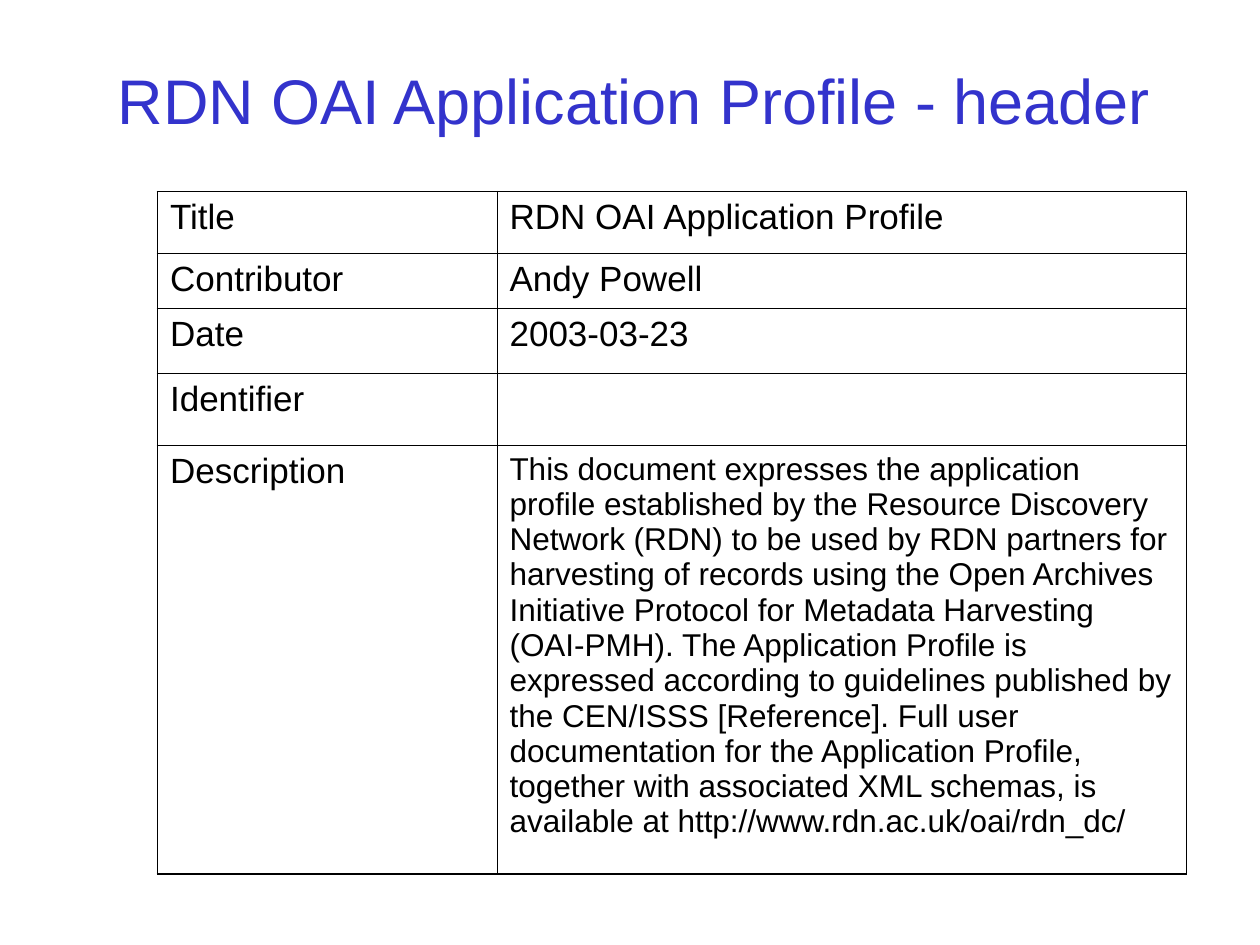
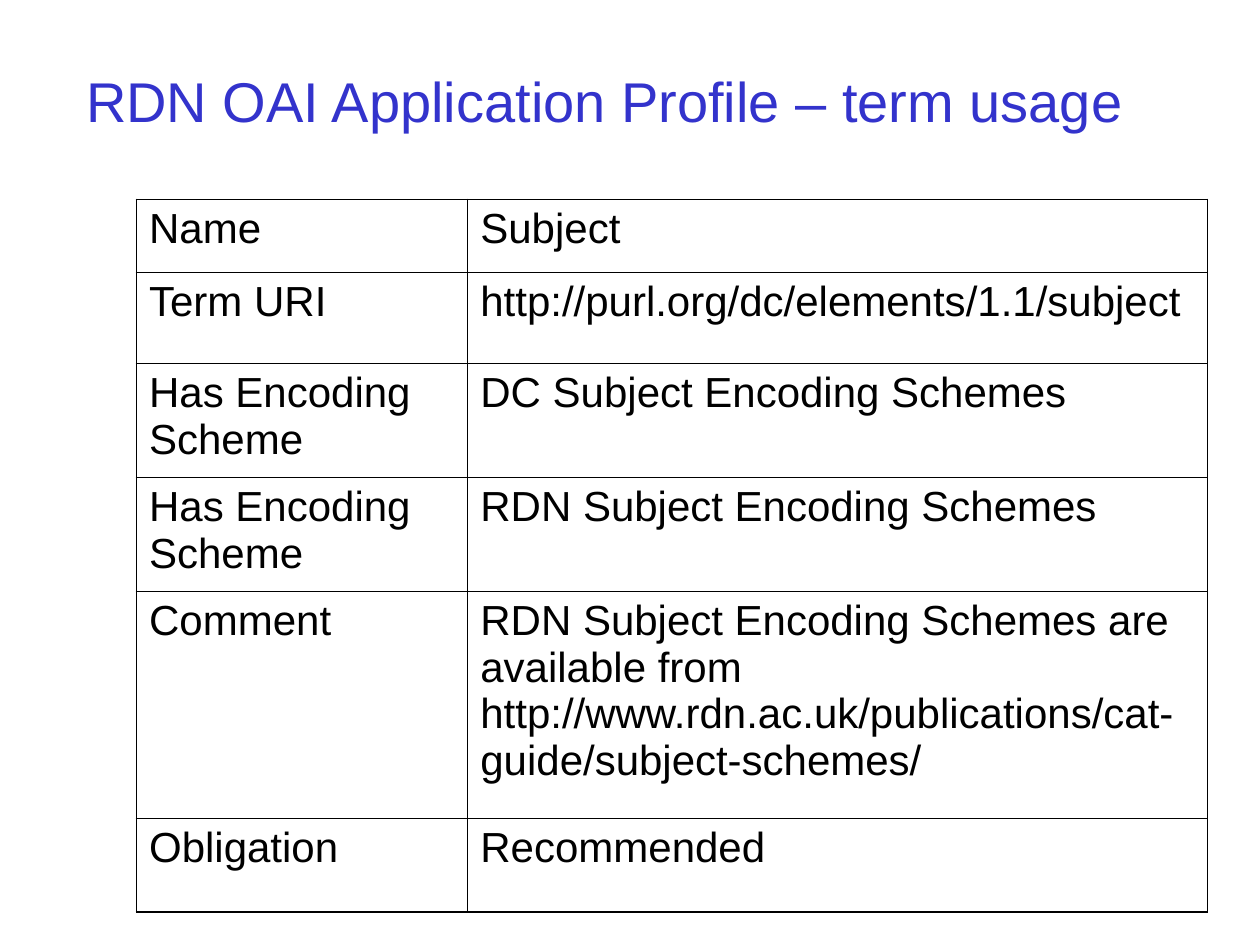
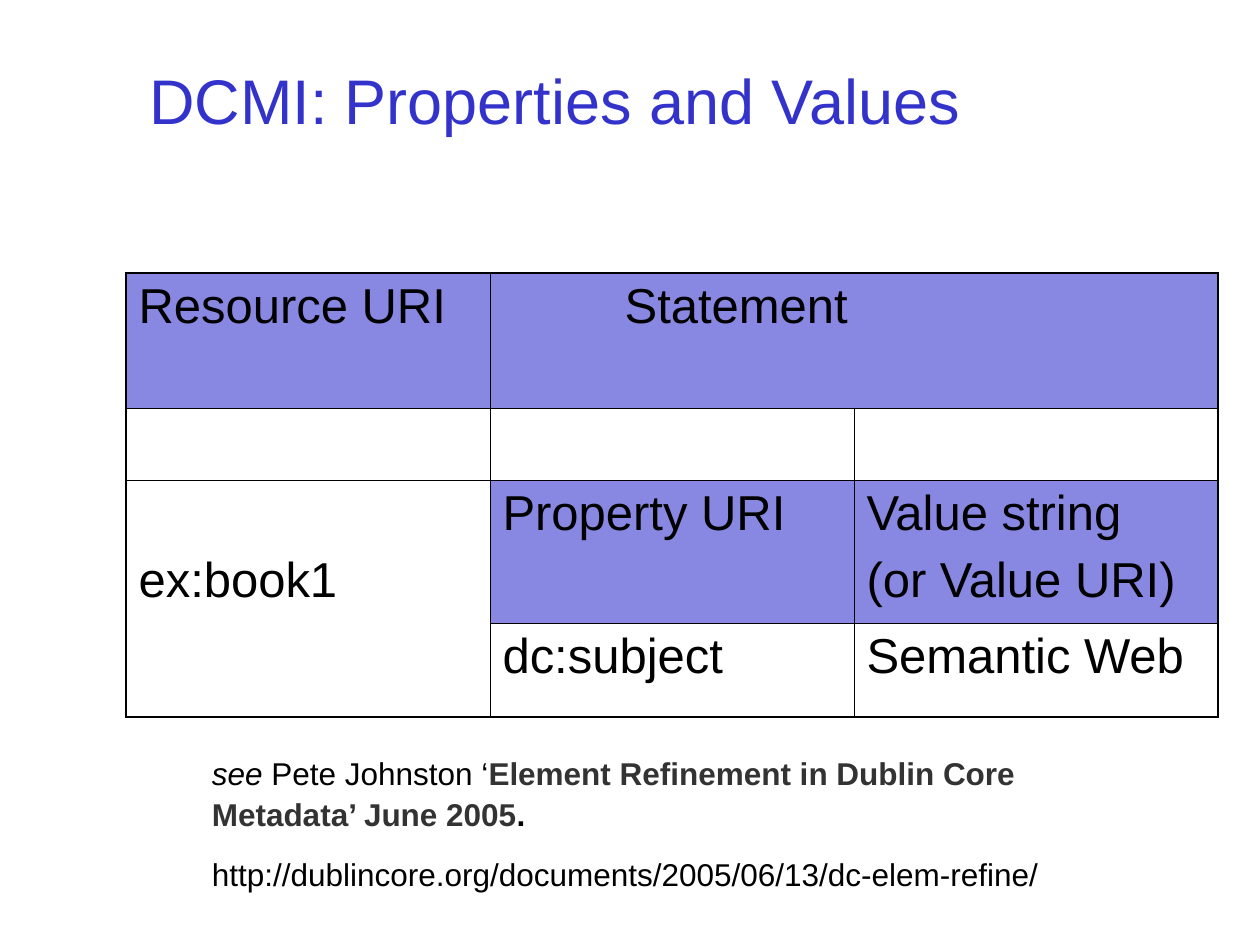
from lxml import etree
from pptx import Presentation
from pptx.dml.color import RGBColor
from pptx.enum.text import MSO_ANCHOR, MSO_AUTO_SIZE, PP_ALIGN
from pptx.oxml.ns import qn
from pptx.util import Pt

MIDDLE = MSO_ANCHOR.MIDDLE
NO_AUTOFIT = MSO_AUTO_SIZE.NONE
LEFT = PP_ALIGN.LEFT

FONT = "Arial"
BLACK = RGBColor(0x00, 0x00, 0x00)
GREY = RGBColor(0x33, 0x33, 0x33)
TITLE_BLUE = RGBColor(0x33, 0x33, 0xCC)
HEADER_BLUE = RGBColor(0x88, 0x88, 0xE2)
WHITE = RGBColor(0xFF, 0xFF, 0xFF)

TITLE_ONLY_LAYOUT = 5
TITLE_TOP, TITLE_HEIGHT = 18, 78
OUTER_LINE, INNER_LINE = 1.08, 0.45

HEADER_ROWS = [
    ["Title", "RDN OAI Application Profile"],
    ["Contributor", "Andy Powell"],
    ["Date", "2003-03-23"],
    ["Identifier", ""],
    ["Description",
     "This document expresses the application profile established by the "
     "Resource Discovery Network (RDN) to be used by RDN partners for "
     "harvesting of records using the Open Archives Initiative Protocol for "
     "Metadata Harvesting (OAI-PMH). The Application Profile is expressed "
     "according to guidelines published by the CEN/ISSS [Reference]. Full user "
     "documentation for the Application Profile, together with associated XML "
     "schemas, is available at http://www.rdn.ac.uk/oai/rdn_dc/"],
]
TERM_ROWS = [
    ["Name", "Subject"],
    ["Term URI", "http://purl.org/dc/elements/1.1/subject"],
    ["Has Encoding Scheme", "DC Subject Encoding Schemes"],
    ["Has Encoding Scheme", "RDN Subject Encoding Schemes"],
    ["Comment",
     "RDN Subject Encoding Schemes are available from "
     "http://www.rdn.ac.uk/publications/cat-guide/subject-schemes/"],
    ["Obligation", "Recommended"],
]
STATEMENT_ROWS = [
    ["Resource URI", "Statement", ""],
    ["", "", ""],
    ["ex:book1", "Property URI", "Value string\n(or Value URI)"],
    ["", "dc:subject", "Semantic Web"],
]
REFERENCE = [
    [("see ", {"italic": True}),
     ("Pete Johnston ‘", {}),
     ("Element Refinement in Dublin Core Metadata’ June 2005",
      {"bold": True, "color": GREY}),
     (".", {"bold": True})],
    [("http://dublincore.org/documents/2005/06/13/dc-elem-refine/", {})],
]


def write_text(frame, content, size, color=BLACK, gap=0, line_spacing=None):
    """Fill a frame from a string, or from paragraphs of (text, format) runs."""
    if isinstance(content, str):
        content = [[(line, {})] for line in content.split("\n")]
    for index, runs in enumerate(content):
        paragraph = frame.add_paragraph() if index else frame.paragraphs[0]
        paragraph.alignment = LEFT
        paragraph.line_spacing = line_spacing
        paragraph.space_before = Pt(gap if index else 0)
        for text, style in runs:
            run = paragraph.add_run()
            run.text = text
            run.font.name = FONT
            run.font.size = Pt(size)
            run.font.bold = style.get("bold", False)
            run.font.italic = style.get("italic", False)
            run.font.color.rgb = style.get("color", color)


def add_titled_slide(presentation, text, left, width, size=36):
    slide = presentation.slides.add_slide(
        presentation.slide_layouts[TITLE_ONLY_LAYOUT])
    title = slide.shapes.title
    title.left, title.top = Pt(left), Pt(TITLE_TOP)
    title.width, title.height = Pt(width), Pt(TITLE_HEIGHT)
    frame = title.text_frame
    frame.word_wrap = True
    frame.auto_size = NO_AUTOFIT
    frame.vertical_anchor = MIDDLE
    write_text(frame, text, size, color=TITLE_BLUE)
    return slide


def set_borders(cell, row, column, row_count, column_count):
    """Draw thick lines on the table's outline and thin lines inside it."""
    height = cell.span_height if cell.is_merge_origin else 1
    width = cell.span_width if cell.is_merge_origin else 1
    on_outline = {
        "a:lnL": column == 0,
        "a:lnR": column + width == column_count,
        "a:lnT": row == 0,
        "a:lnB": row + height == row_count,
    }
    properties = cell._tc.get_or_add_tcPr()
    for tag, outer in on_outline.items():
        if cell.is_spanned and not outer:
            continue
        line = etree.SubElement(properties, qn(tag))
        line.set("w", str(Pt(OUTER_LINE if outer else INNER_LINE)))
        fill = etree.SubElement(line, qn("a:solidFill"))
        etree.SubElement(fill, qn("a:srgbClr")).set("val", str(BLACK))


def add_grid(slide, rows, left, top, widths, heights, size,
             merges=(), fills=None, sizes=None):
    """Add a ruled table; fills and sizes give exceptions by (row, column)."""
    fills, sizes = fills or {}, sizes or {}
    table = slide.shapes.add_table(
        len(rows), len(widths), Pt(left), Pt(top),
        Pt(sum(widths)), Pt(sum(heights))).table
    table.first_row = table.horz_banding = False
    for column, width in zip(table.columns, widths):
        column.width = Pt(width)
    for row, height in zip(table.rows, heights):
        row.height = Pt(height)
    for first, last in merges:
        table.cell(*first).merge(table.cell(*last))
    for row, texts in enumerate(rows):
        for column, text in enumerate(texts):
            cell = table.cell(row, column)
            set_borders(cell, row, column, len(rows), len(widths))
            cell.fill.solid()
            cell.fill.fore_color.rgb = fills.get((row, column), WHITE)
            if text:
                text_size = sizes.get((row, column), size)
                write_text(cell.text_frame, text, text_size,
                           gap=text_size / 4)
    return table


def add_reference(slide, content, left, top, width, height):
    box = slide.shapes.add_textbox(Pt(left), Pt(top), Pt(width), Pt(height))
    box.text_frame.word_wrap = True
    write_text(box.text_frame, content, 18, gap=11.2, line_spacing=1.07)


def main():
    presentation = Presentation()
    presentation.slide_width, presentation.slide_height = Pt(720), Pt(540)

    slide = add_titled_slide(
        presentation, "RDN OAI Application Profile - header", 60, 618)
    add_grid(slide, HEADER_ROWS, 90, 109.5, [194, 394],
             [35.3, 31.5, 37.2, 41, 244.8], 20, sizes={(4, 1): 18})

    slide = add_titled_slide(
        presentation, "RDN OAI Application Profile – term usage", 42, 654,
        size=32)
    add_grid(slide, TERM_ROWS, 78, 114, [189.3, 422.7],
             [41.7, 52, 65, 65, 129.7, 53.8], 24)

    slide = add_titled_slide(
        presentation, "DCMI: Properties and Values", 78, 576)
    header_cells = [(0, 0), (0, 1), (0, 2), (2, 1), (2, 2)]
    table = add_grid(slide, STATEMENT_ROWS, 72, 156, [208] * 3,
                     [77.4, 41, 81.6, 53.8], 28,
                     merges=[((0, 1), (0, 2)), ((2, 0), (3, 0))],
                     fills=dict.fromkeys(header_cells, HEADER_BLUE))
    table.cell(0, 1).margin_left = Pt(77)
    table.cell(2, 0).margin_top = Pt(42)
    add_reference(slide, REFERENCE, 114, 426, 540, 83.5)

    presentation.save("out.pptx")


if __name__ == "__main__":
    main()
